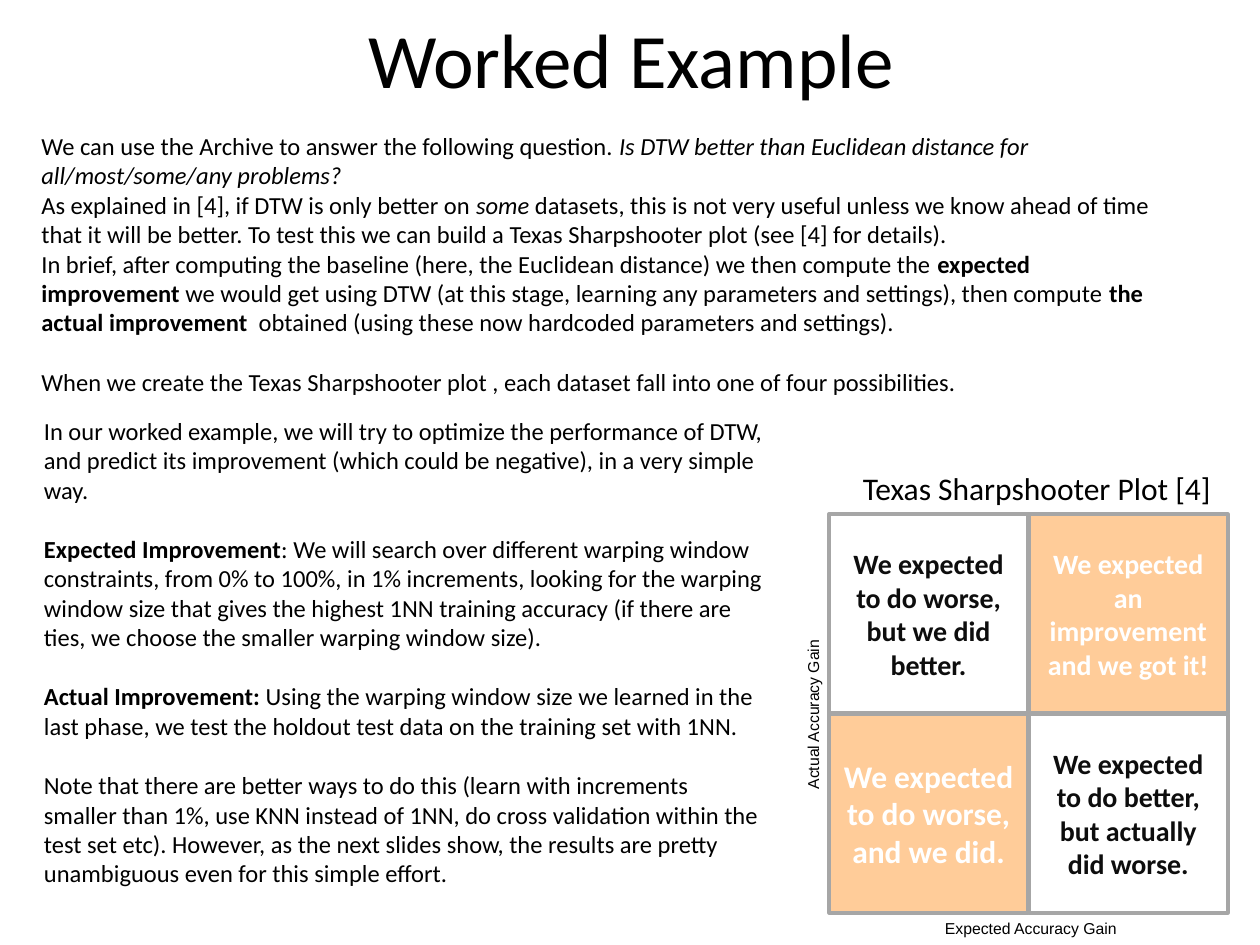
import pptx
import pptx.util
import pptx.dml.color
import pptx.enum.shapes
import pptx.enum.text
from pptx.util import Inches

BODY_SIZE = 14
BLANK_LINE = 17.1
CELL_SIDE = 1.58
CELL_PITCH = 1.585
GRID_LEFT = 6.58
GRID_TOP = 4.08
CENTER = pptx.enum.text.PP_ALIGN.CENTER
LEFT = pptx.enum.text.PP_ALIGN.LEFT
MIDDLE = pptx.enum.text.MSO_ANCHOR.MIDDLE

INTRODUCTION = [
    (0, [("We can use the Archive to answer the following question. ", ""),
         ("Is DTW better than Euclidean distance for all/most/some/any problems?", "italic")]),
    (0, [("As explained in [4], if DTW is only better on ", ""),
         ("some", "italic"),
         (" datasets, this is not very useful unless we know ahead of time that it will be "
          "better. To test this we can build a Texas Sharpshooter plot (see [4] for details).", "")]),
    (0, [("In brief, after computing the baseline (here, the Euclidean distance) we then "
          "compute the ", ""),
         ("expected improvement ", "bold"),
         ("we would get using DTW (at this stage, learning any parameters and settings), "
          "then compute ", ""),
         ("the actual improvement ", "bold"),
         (" obtained (using these now hardcoded parameters and settings).", "")]),
    (BLANK_LINE, [("When we create the Texas Sharpshooter plot , each dataset fall into one "
                   "of four possibilities.", "")]),
]

METHOD = [
    (0, [("In our worked example, we will try to optimize the performance of DTW, and predict "
          "its improvement (which could be negative), in a very simple way.", "")]),
    (BLANK_LINE, [("Expected Improvement", "bold"),
                  (": We will search over different warping window constraints, from 0% to "
                   "100%, in 1% increments, looking for the warping window size that gives the "
                   "highest 1NN training accuracy (if there are ties, we choose the smaller "
                   "warping window size).", "")]),
    (BLANK_LINE, [("Actual Improvement: ", "bold"),
                  ("Using the warping window size we learned in the last phase, we test the "
                   "holdout test data on the training set with 1NN.", "")]),
    (BLANK_LINE, [("Note that there are better ways to do this (learn with increments smaller "
                   "than 1%, use KNN instead of 1NN, do cross validation within the test set "
                   "etc). However, as the next slides show, the results are pretty unambiguous "
                   "even for this simple effort.", "")]),
]

OUTCOMES = [
    [("We expected to do worse, but we did better.", 16, False),
     ("We expected an improvement and we got it!", 16, True)],
    [("We expected to do worse, and we did.", 18, True),
     ("We expected to do better, but actually did worse.", 16, False)],
]


def color(hex_string):
    return pptx.dml.color.RGBColor.from_string(hex_string)


def add_run(paragraph, text, size, hex_string="000000", style="", font="Calibri"):
    run = paragraph.add_run()
    run.text = text
    run.font.name = font
    run.font.size = pptx.util.Pt(size)
    run.font.color.rgb = color(hex_string)
    run.font.bold = style == "bold"
    run.font.italic = style == "italic"


def add_text_box(slide, left, top, width, height, wrap=True):
    box = slide.shapes.add_textbox(Inches(left), Inches(top), Inches(width), Inches(height))
    box.text_frame.word_wrap = wrap
    return box


def add_body(slide, left, top, width, height, paragraphs):
    frame = add_text_box(slide, left, top, width, height).text_frame
    for index, (space_before, runs) in enumerate(paragraphs):
        paragraph = frame.add_paragraph() if index else frame.paragraphs[0]
        paragraph.space_before = pptx.util.Pt(space_before)
        for text, style in runs:
            add_run(paragraph, text, BODY_SIZE, style=style)


def add_heading(slide, left, top, width, height, text, size, alignment=LEFT, wrap=True):
    frame = add_text_box(slide, left, top, width, height, wrap).text_frame
    frame.vertical_anchor = MIDDLE
    frame.paragraphs[0].alignment = alignment
    add_run(frame.paragraphs[0], text, size)


def add_axis_label(slide, left, top, width, text, rotation=0):
    box = add_text_box(slide, left, top, width, 0.17, wrap=False)
    box.rotation = rotation
    frame = box.text_frame
    frame.margin_left = frame.margin_right = frame.margin_top = frame.margin_bottom = 0
    add_run(frame.paragraphs[0], text, 9, font="Arial")


def add_outcome(slide, row, column, text, size, predicted):
    cell = slide.shapes.add_shape(
        pptx.enum.shapes.MSO_SHAPE.RECTANGLE,
        Inches(GRID_LEFT + column * CELL_PITCH), Inches(GRID_TOP + row * CELL_PITCH),
        Inches(CELL_SIDE), Inches(CELL_SIDE))
    cell.shadow.inherit = False
    cell.line.color.rgb = color("A6A6A6")
    cell.line.width = pptx.util.Pt(2)
    if predicted:
        cell.fill.solid()
        cell.fill.fore_color.rgb = color("FFCC99")
    else:
        cell.fill.background()
    frame = cell.text_frame
    frame.word_wrap = True
    frame.vertical_anchor = MIDDLE
    frame.paragraphs[0].alignment = CENTER
    add_run(frame.paragraphs[0], text, size, "FFFFFF" if predicted else "0D0D0D", "bold")


def main():
    presentation = pptx.Presentation()
    presentation.slide_width = Inches(10)
    presentation.slide_height = Inches(7.5)
    slide = presentation.slides.add_slide(presentation.slide_layouts[6])

    add_heading(slide, 0.51, 0, 9, 0.92, "Worked Example", 44, CENTER)
    add_body(slide, 0.23, 0.99, 9.18, 2.22, INTRODUCTION)
    for row, outcomes in enumerate(OUTCOMES):
        for column, outcome in enumerate(outcomes):
            add_outcome(slide, row, column, *outcome)
    add_body(slide, 0.25, 3.25, 5.92, 4.11, METHOD)
    add_heading(slide, 6.75, 3.67, 3.05, 0.4, "Texas Sharpshooter Plot [4]", 18, wrap=False)
    add_axis_label(slide, 7.5, 7.29, 1.4, "Expected Accuracy Gain")
    add_axis_label(slide, 5.84, 5.56, 1.24, "Actual Accuracy Gain", 270)

    presentation.save("out.pptx")


if __name__ == "__main__":
    main()
